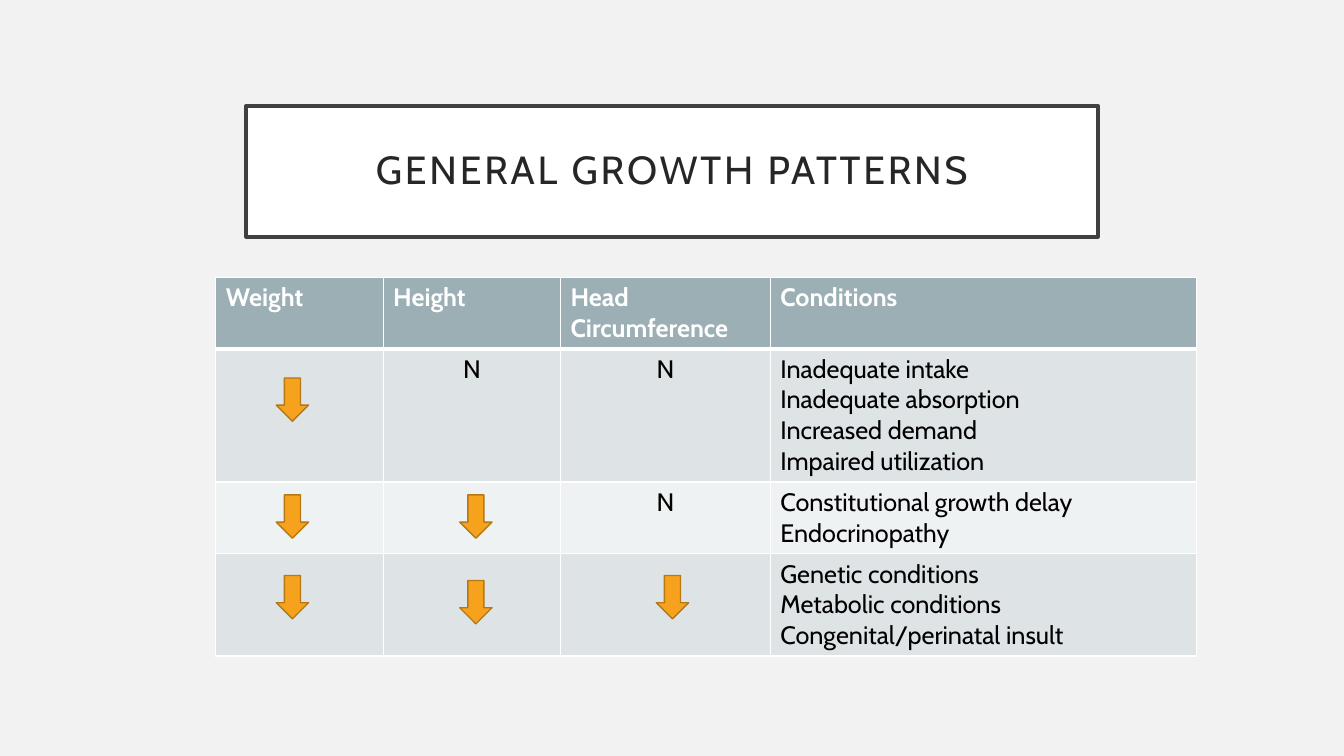
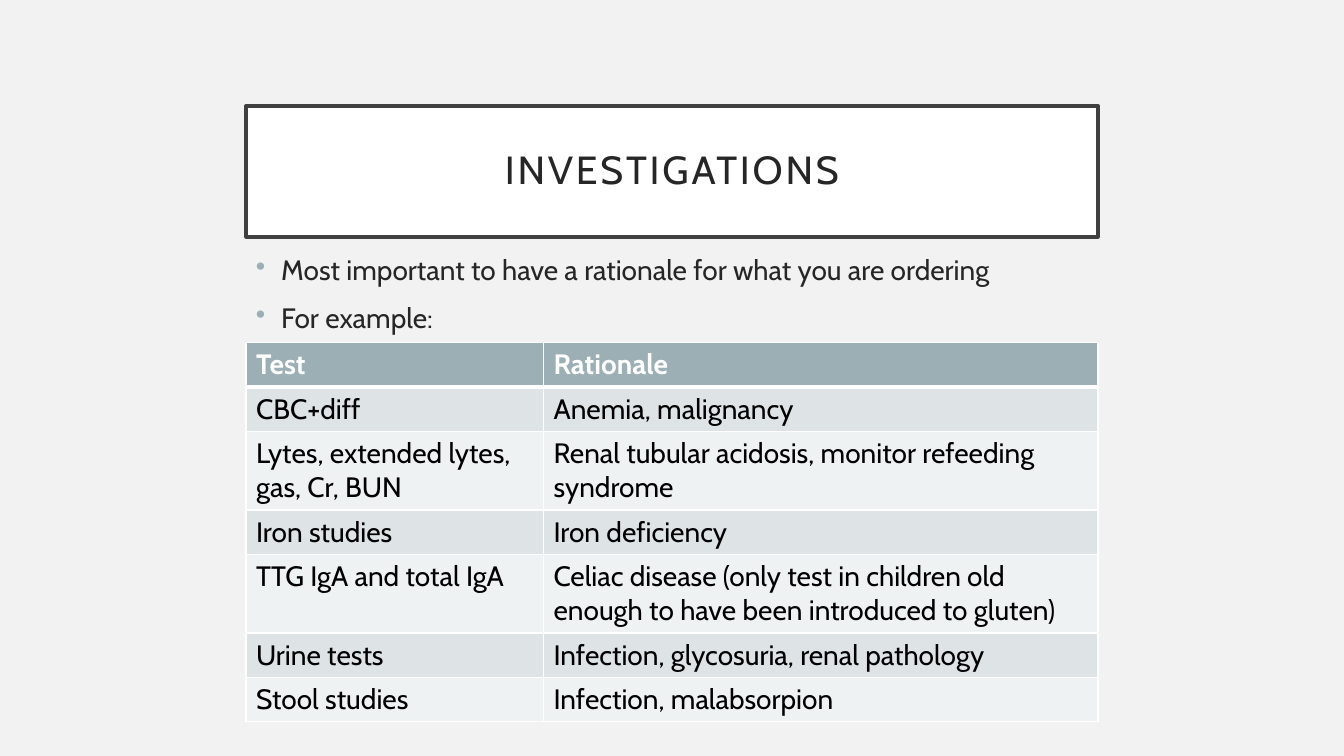
from lxml.etree import SubElement as Sub
from pptx import Presentation
from pptx.dml.color import RGBColor
from pptx.enum.shapes import MSO_SHAPE as Shape
from pptx.enum.text import MSO_ANCHOR as Anchor, PP_ALIGN as Align
from pptx.oxml.ns import qn
from pptx.util import Inches, Pt

# Shared look
FONT = "Cabin"
BACK, WHITE, BLACK, INK, FRAME = "F2F2F2", "FFFFFF", "000000", "262626", "404040"
HEAD, BANDS = "9BAFB5", ("DEE3E5", "EFF2F3")
GOLD, BROWN = "F6A21D", "B67815"
LEFT, WIDTH = 2.44, 8.45


def color(code):
    return RGBColor.from_string(code)


def paint(shape, fill, line, width):
    shape.shadow.inherit = False
    shape.fill.solid()
    shape.fill.fore_color.rgb = color(fill)
    shape.line.color.rgb = color(line)
    shape.line.width = Pt(width)


def write(para, text, size, ink, bold=False):
    run = para.add_run()
    run.text = text
    look = {"name": FONT, "size": Pt(size), "bold": bold}
    for key, value in look.items():
        setattr(run.font, key, value)
    run.font.color.rgb = color(ink)
    return run


def add_lines(frame, lines):
    """Yield one paragraph of the frame with each line of text."""
    for i, line in enumerate(lines):
        yield (frame.add_paragraph() if i else frame.paragraphs[0]), line


# Slide with its framed title
def add_slide(deck, title):
    slide = deck.slides.add_slide(deck.slide_layouts[6])
    slide.background.fill.solid()
    slide.background.fill.fore_color.rgb = color(BACK)
    box = slide.shapes.add_shape(Shape.RECTANGLE, Inches(LEFT), Inches(1.05),
                                 Inches(WIDTH), Inches(1.3))
    paint(box, WHITE, FRAME, 2.5)
    frame = box.text_frame
    for side in ("left", "top", "right", "bottom"):
        setattr(frame, f"margin_{side}", Inches(0.2))
    frame.word_wrap = True
    frame.vertical_anchor = Anchor.MIDDLE
    para = frame.paragraphs[0]
    para.alignment = Align.CENTER
    para.line_spacing = 0.9
    run = write(para, title, 28, INK)
    run._r.get_or_add_rPr().set("spc", "200")
    return slide


# Bulleted text
def add_list(slide, top, height, lines):
    box = slide.shapes.add_textbox(Inches(LEFT), Inches(top),
                                   Inches(WIDTH), Inches(height))
    frame = box.text_frame
    frame.word_wrap = True
    for i, (para, line) in enumerate(add_lines(frame, lines)):
        props = para._p.get_or_add_pPr()
        props.set("marL", str(Inches(0.25)))
        props.set("indent", str(Inches(-0.25)))
        tint = Sub(props, qn("a:buClr"))
        Sub(tint, qn("a:srgbClr"), val=HEAD)
        Sub(props, qn("a:buChar"), char="•")
        para.space_before = Pt(10 if i else 0)
        write(para, line, 20, INK)


# Tables
def edge(cell, row):
    """Draw white cell borders, with a thick rule below the header."""
    widths = {"L": 1, "R": 1, "T": 3 if row == 1 else 1, "B": 1 if row else 3}
    for side, width in widths.items():
        line = Sub(cell._tc.get_or_add_tcPr(), qn(f"a:ln{side}"), w=str(Pt(width)))
        fill = Sub(line, qn("a:solidFill"))
        Sub(fill, qn("a:srgbClr"), val=WHITE)


def add_grid(slide, left, top, cols, highs, rows, size):
    grid = slide.shapes.add_table(len(rows), len(cols), Inches(left), Inches(top),
                                  Inches(sum(cols)), Inches(sum(highs))).table
    for col, width in zip(grid.columns, cols):
        col.width = Inches(width)
    for r, (texts, high) in enumerate(zip(rows, highs)):
        grid.rows[r].height = Inches(high)
        for c, text in enumerate(texts):
            cell = grid.cell(r, c)
            edge(cell, r)
            cell.fill.solid()
            cell.fill.fore_color.rgb = color(BANDS[(r - 1) % 2] if r else HEAD)
            if not text:
                continue
            for para, line in add_lines(cell.text_frame, text.split("\n")):
                write(para, line, size, BLACK if r else WHITE, bold=r == 0)
                if text == "N":
                    para.alignment = Align.CENTER


# Arrow for a low measure
def add_drop(slide, left, top):
    drop = slide.shapes.add_shape(Shape.DOWN_ARROW, Inches(left), Inches(top),
                                  Inches(0.32), Inches(0.43))
    paint(drop, GOLD, BROWN, 1)


def show_growth(deck):
    slide = add_slide(deck, "GENERAL GROWTH PATTERNS")
    rows = [
        ("Weight", "Height", "Head Circumference", "Conditions"),
        ("", "N", "N", "Inadequate intake\nInadequate absorption\n"
                       "Increased demand\nImpaired utilization"),
        ("", "", "N", "Constitutional growth delay\nEndocrinopathy"),
        ("", "", "", "Genetic conditions\nMetabolic conditions\n"
                     "Congenital/perinatal insult"),
    ]
    add_grid(slide, 2.14, 2.75, (1.66, 1.76, 2.08, 4.23),
             (0.71, 1.32, 0.71, 1.01), rows, 18)
    weight, height, head = 2.74, 4.56, 6.51
    for left, top in ((weight, 3.75), (weight, 4.91), (height, 4.91),
                      (weight, 5.71), (height, 5.76), (head, 5.71)):
        add_drop(slide, left, top)


def show_tests(deck):
    slide = add_slide(deck, "INVESTIGATIONS")
    add_list(slide, 2.46, 3.39, (
        "Most important to have a rationale for what you are ordering",
        "For example:"))
    rows = [
        ("Test", "Rationale"),
        ("CBC+diff", "Anemia, malignancy"),
        ("Lytes, extended lytes, gas, Cr, BUN",
         "Renal tubular acidosis, monitor refeeding syndrome"),
        ("Iron studies", "Iron deficiency"),
        ("TTG IgA and total IgA",
         "Celiac disease (only test in children old enough to have been "
         "introduced to gluten)"),
        ("Urine tests", "Infection, glycosuria, renal pathology"),
        ("Stool studies", "Infection, malabsorpion"),
    ]
    one, two = 0.44, 0.78
    add_grid(slide, LEFT, 3.4, (2.95, 5.5),
             (one, one, two, one, two, one, one), rows, 20)


def main():
    deck = Presentation()
    deck.slide_width, deck.slide_height = Inches(13.33), Inches(7.5)
    show_growth(deck)
    show_tests(deck)
    deck.save("out.pptx")


if __name__ == "__main__":
    main()
